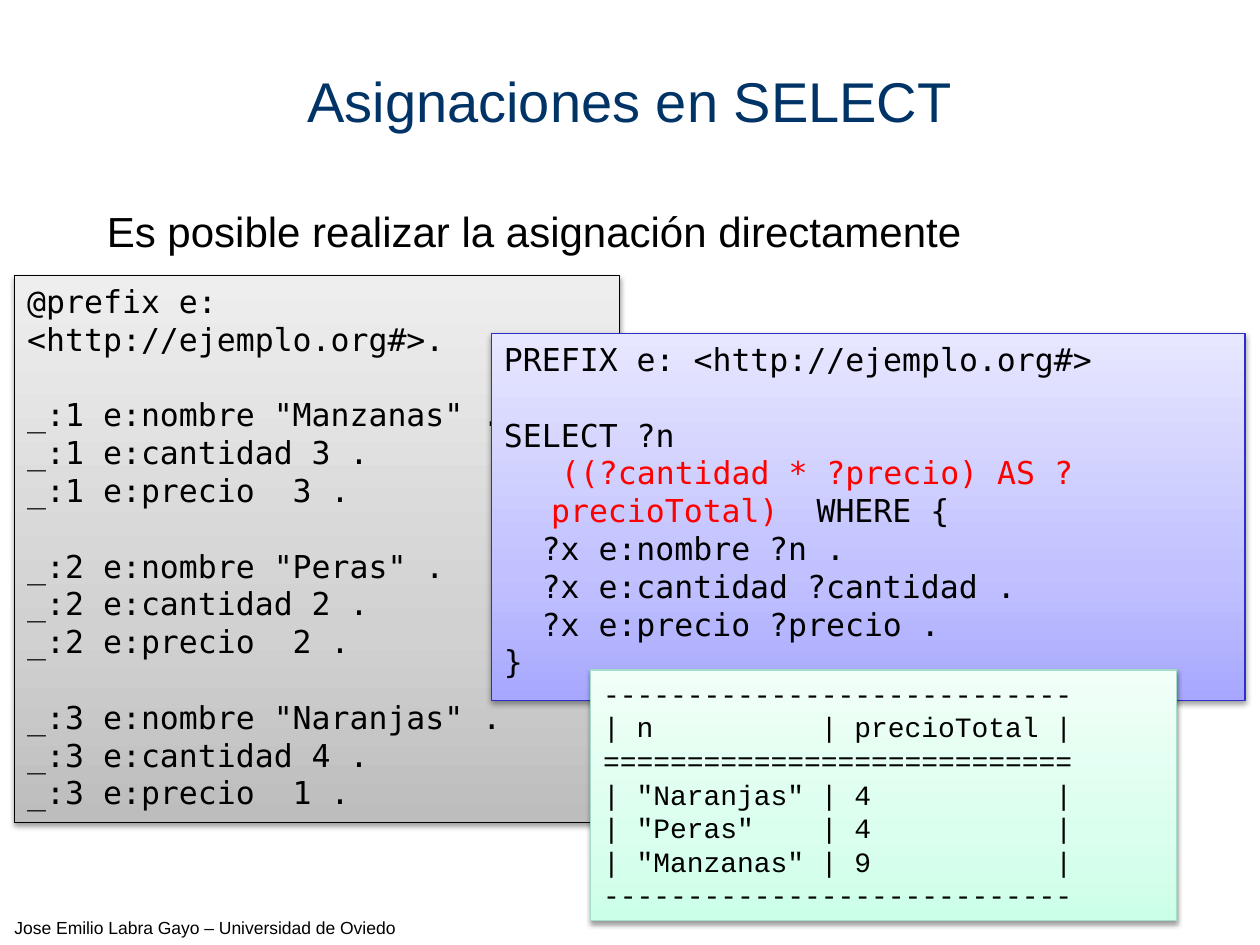
from lxml.etree import SubElement
from pptx import Presentation
from pptx.dml.color import RGBColor
from pptx.enum.shapes import MSO_SHAPE
from pptx.enum.text import MSO_ANCHOR, MSO_AUTO_SIZE, PP_ALIGN
from pptx.oxml import parse_xml
from pptx.oxml.ns import nsdecls, qn
from pptx.util import Cm, Pt

BLACK = RGBColor(0x00, 0x00, 0x00)
NAVY = RGBColor(0x00, 0x33, 0x66)
RED = RGBColor(0xFF, 0x00, 0x00)
BLUE_LINE = RGBColor(0x2E, 0x2E, 0xCB)
GREEN_LINE = RGBColor(0xA5, 0xDE, 0xC6)
GREYS = [RGBColor(0xBD, 0xBD, 0xBD), RGBColor(0xD1, 0xD1, 0xD1), RGBColor(0xEE, 0xEE, 0xEE)]
BLUES = [RGBColor(0xA7, 0xA7, 0xFF), RGBColor(0xC1, 0xC1, 0xFF), RGBColor(0xE7, 0xE7, 0xFF)]
GREENS = [RGBColor(0xCC, 0xFF, 0xE8), RGBColor(0xDA, 0xFF, 0xEE), RGBColor(0xF1, 0xFF, 0xF8)]
MONO = "DejaVu Sans Mono"
BLANK_LINE = Pt(21.6)  # height of one line of 18 pt code
HANG = Cm(0.95)


def add_text(p, text, size=18, font="Arial", color=BLACK, align=PP_ALIGN.LEFT,
             before=None, left=0, first=0):
    p.alignment = align
    if before is not None:
        p.space_before = before
    pPr = p._p.get_or_add_pPr()
    pPr.set("marL", str(int(left)))
    pPr.set("indent", str(int(first)))
    r = p.add_run()
    r.text = text
    r.font.size = Pt(size)
    r.font.name = font
    r.font.color.rgb = color


def add_panel(s, box, colors, line):
    sp = s.shapes.add_shape(MSO_SHAPE.RECTANGLE, *[Cm(v) for v in box])
    sp.line.color.rgb = line
    sp.line.width = Pt(0.75)
    stops = "".join(f'<a:gs pos="{pos * 1000}"><a:srgbClr val="{c}"/></a:gs>'
                    for pos, c in zip((0, 35, 100), colors))
    sp._element.spPr.find(qn("a:prstGeom")).addnext(parse_xml(
        f'<a:gradFill {nsdecls("a")} rotWithShape="1"><a:gsLst>{stops}</a:gsLst>'
        '<a:lin ang="16200000" scaled="1"/></a:gradFill>'))
    # Soft shadow below the panel
    sp.shadow.inherit = False
    effects = sp._element.spPr.find(qn("a:effectLst"))
    shadow = SubElement(effects, qn("a:outerShdw"), blurRad=str(Pt(3.1)),
                        dist=str(Pt(1.6)), dir="5400000", rotWithShape="0")
    color = SubElement(shadow, qn("a:srgbClr"), val="000000")
    SubElement(color, qn("a:alpha"), val="38000")
    tf = sp.text_frame
    tf.word_wrap = True
    tf.vertical_anchor = MSO_ANCHOR.TOP
    return tf


prs = Presentation()
prs.slide_width, prs.slide_height = Cm(25.4), Cm(19.05)
s = prs.slides.add_slide(prs.slide_layouts[1])

# Title
title = s.shapes.title
title.left, title.top, title.width, title.height = Cm(0), Cm(0.43), Cm(25.4), Cm(3.18)
title.text_frame.vertical_anchor = MSO_ANCHOR.MIDDLE
add_text(title.text_frame.paragraphs[0], "Asignaciones en SELECT",
         size=32, color=NAVY, align=PP_ALIGN.CENTER)

# Body line, without a bullet
body = s.placeholders[1]
body.left, body.top, body.width, body.height = Cm(1.9), Cm(4.01), Cm(21.6), Cm(1.27)
body.text_frame.auto_size = MSO_AUTO_SIZE.NONE
p = body.text_frame.paragraphs[0]
add_text(p, "Es posible realizar la asignación directamente",
         size=24, left=HANG, first=-HANG)
SubElement(p._p.pPr, qn("a:buNone"))

# Footer
sp = s.shapes.add_textbox(Cm(0), Cm(18.36), Cm(8.26), Cm(0.69))
sp.text_frame.word_wrap = False
add_text(sp.text_frame.paragraphs[0], "Jose Emilio Labra Gayo – Universidad de Oviedo",
         size=10, align=PP_ALIGN.CENTER)

# Turtle data: one block of three triples per product
tf = add_panel(s, (0.3, 5.56, 12.19, 11.02), GREYS, BLACK)
add_text(tf.paragraphs[0], "@prefix e: <http://ejemplo.org#>.", font=MONO)
products = [("Manzanas", 3, 3), ("Peras", 2, 2), ("Naranjas", 4, 1)]
for i, (name, amount, price) in enumerate(products, 1):
    add_text(tf.add_paragraph(), f'_:{i} e:nombre "{name}" .', font=MONO, before=BLANK_LINE)
    add_text(tf.add_paragraph(), f"_:{i} e:cantidad {amount} .", font=MONO)
    add_text(tf.add_paragraph(), f"_:{i} e:precio  {price} .", font=MONO)

# SPARQL query: text, colour, space before, indent of the first line
tf = add_panel(s, (9.91, 6.73, 15.19, 7.39), BLUES, BLUE_LINE)
query = [
    ("PREFIX e: <http://ejemplo.org#>", BLACK, 0, 0),
    ("SELECT ?n", BLACK, BLANK_LINE, 0),
    ("((?cantidad * ?precio) AS ?precioTotal)  ", RED, 0, Cm(1.15)),
    ("?x e:nombre ?n .", BLACK, 0, Cm(0.76)),
    ("?x e:cantidad ?cantidad .", BLACK, 0, Cm(0.76)),
    ("?x e:precio ?precio .", BLACK, 0, Cm(0.76)),
    ("}", BLACK, 0, 0),
]
for i, (text, color, before, indent) in enumerate(query):
    p = tf.add_paragraph() if i else tf.paragraphs[0]
    fmt = dict(font=MONO, before=before, left=HANG, first=indent - HANG)
    add_text(p, text, color=color, **fmt)
    if color == RED:
        add_text(p, "WHERE {", **fmt)

# Query result as console output
tf = add_panel(s, (11.91, 13.51, 11.81, 5.05), GREENS, GREEN_LINE)
rows = [('"Naranjas"', 4), ('"Peras"', 4), ('"Manzanas"', 9)]
result = ["-" * 28, f"| {'n':<10} | precioTotal |", "=" * 28]
result += [f"| {name:<10} | {total:<11} |" for name, total in rows]
result.append("-" * 28)
for i, text in enumerate(result):
    p = tf.add_paragraph() if i else tf.paragraphs[0]
    add_text(p, text, size=16, font="Courier New")

prs.save("out.pptx")
